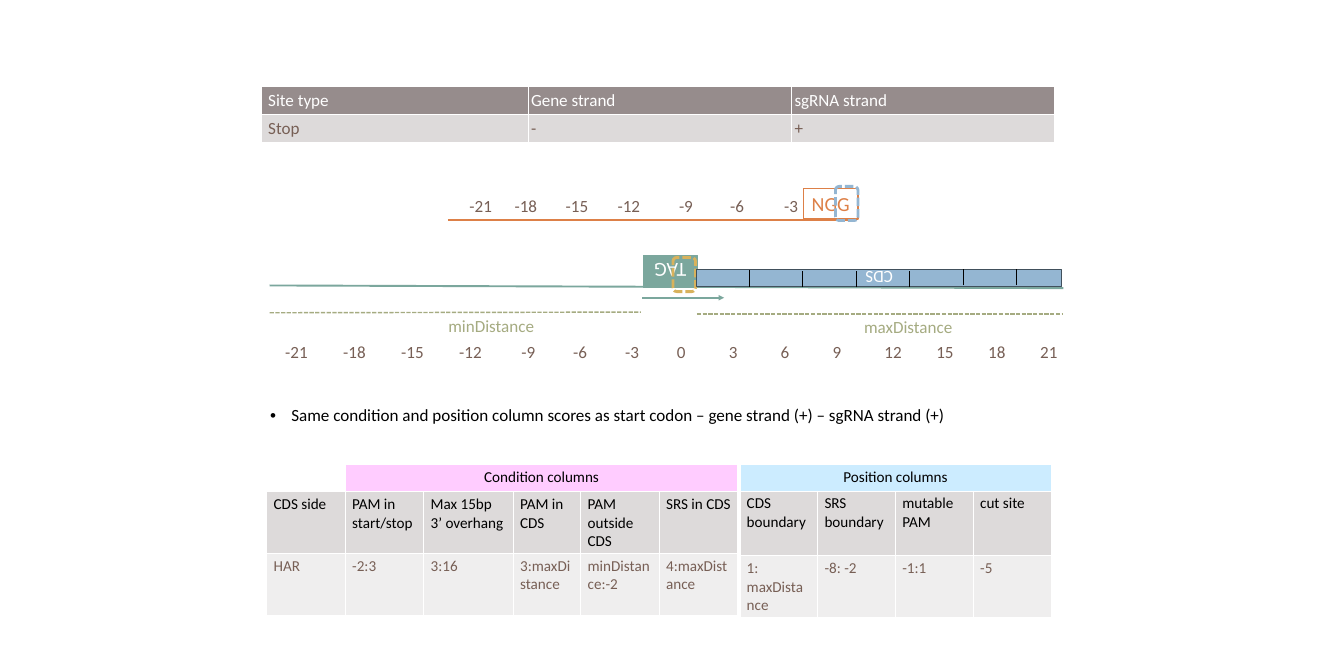
from dataclasses import dataclass

from lxml import etree
from pptx import Presentation
from pptx.dml.color import RGBColor
from pptx.enum.dml import MSO_LINE
from pptx.enum.shapes import MSO_CONNECTOR, MSO_SHAPE
from pptx.enum.text import MSO_ANCHOR, PP_ALIGN
from pptx.oxml.ns import qn
from pptx.util import Emu, Pt

PX = 9144
RECT, ROUND = MSO_SHAPE.RECTANGLE, MSO_SHAPE.ROUNDED_RECTANGLE
LEFT, CENTER = PP_ALIGN.LEFT, PP_ALIGN.CENTER
TOP, MIDDLE = MSO_ANCHOR.TOP, MSO_ANCHOR.MIDDLE
DASH = MSO_LINE.SQUARE_DOT
STRAIGHT = MSO_CONNECTOR.STRAIGHT


@dataclass(frozen=True)
class Theme:
    font: str = "Calibri"
    white: str = "FFFFFF"
    black: str = "000000"
    brown: str = "775F55"
    head: str = "968C8C"
    band: str = "DDDADA"
    pale: str = "EFEEEE"
    pink: str = "FFCCFF"
    sky: str = "CCECFF"
    green: str = "7BA79D"
    olive: str = "A5AB81"
    orange: str = "DD8047"
    gold: str = "D8B25C"
    blue: str = "94B6D2"
    navy: str = "41505C"
    cell: int = 16
    body: int = 18
    codon: int = 21


T = Theme()


@dataclass(frozen=True)
class Box:
    x: int
    y: int
    w: int
    h: int
    line: str
    width: float
    kind: int = RECT
    fill: str = ""
    text: str = ""
    ink: str = T.white
    size: int = T.body
    anchor: int = MIDDLE
    turn: int = 0
    dash: bool = False


@dataclass(frozen=True)
class Line:
    x1: int
    y1: int
    x2: int
    y2: int
    color: str
    width: float
    dash: bool = False
    arrow: bool = False


@dataclass(frozen=True)
class Label:
    x: int
    y: int
    w: int
    text: str
    color: str = T.brown
    bullet: bool = False


@dataclass(frozen=True)
class Row:
    h: int
    cells: tuple
    fill: str
    ink: str
    size: int = T.cell
    span: int = 1


@dataclass(frozen=True)
class Grid:
    x: int
    y: int
    cols: tuple
    rows: tuple


def px(n: int) -> Emu:
    return Emu(n * PX)


def rgb(code: str) -> RGBColor:
    return RGBColor.from_string(code)


def style(para, color: str, size: int, align=LEFT) -> None:
    para.alignment = align
    font = para.font
    font.name, font.size, font.bold = T.font, Pt(size), False
    font.color.rgb = rgb(color)


def stroke(line, color: str, width: float, dash: bool) -> None:
    line.color.rgb = rgb(color)
    line.width = Pt(width)
    if dash:
        line.dash_style = DASH


def draw_box(shapes, b: Box) -> None:
    shape = shapes.add_shape(b.kind, px(b.x), px(b.y), px(b.w), px(b.h))
    shape.shadow.inherit = False
    shape.rotation = b.turn
    if b.fill:
        shape.fill.solid()
        shape.fill.fore_color.rgb = rgb(b.fill)
    else:
        shape.fill.background()
    stroke(shape.line, b.line, b.width, b.dash)
    if b.text:
        frame = shape.text_frame
        frame.vertical_anchor = b.anchor
        frame.text = b.text
        style(frame.paragraphs[0], b.ink, b.size, CENTER)


def draw_line(shapes, s: Line) -> None:
    wire = shapes.add_connector(STRAIGHT, px(s.x1), px(s.y1), px(s.x2), px(s.y2))
    stroke(wire.line, s.color, s.width, s.dash)
    if s.arrow:
        etree.SubElement(wire.line._get_or_add_ln(), qn("a:tailEnd"), type="triangle")
    etree.SubElement(wire._element.spPr, qn("a:effectLst"))


def draw_label(shapes, t: Label) -> None:
    frame = shapes.add_textbox(px(t.x), px(t.y), px(t.w), px(40)).text_frame
    frame.word_wrap = True
    frame.text = t.text
    para = frame.paragraphs[0]
    if t.bullet:
        props = para._p.get_or_add_pPr()
        props.set("marL", str(px(31)))
        props.set("indent", str(px(-31)))
        etree.SubElement(props, qn("a:buFont"), typeface="Arial")
        etree.SubElement(props, qn("a:buChar"), char="•")
    style(para, t.color, T.body)


def draw_grid(shapes, g: Grid) -> None:
    """Draw a table; the last cells of a row merge when its span exceeds one."""
    table = shapes.add_table(len(g.rows), len(g.cols), px(g.x), px(g.y),
                             px(sum(g.cols)), px(sum(r.h for r in g.rows))).table
    for col, w in zip(table.columns, g.cols):
        col.width = px(w)
    for i, row in enumerate(g.rows):
        table.rows[i].height = px(row.h)
        for j, text in enumerate(row.cells):
            cell = table.cell(i, j)
            if text:
                cell.fill.solid()
                cell.fill.fore_color.rgb = rgb(row.fill)
            else:
                cell.fill.background()
            cell.text = text
            style(cell.text_frame.paragraphs[0], row.ink, row.size,
                  CENTER if row.span > 1 else LEFT)
        if row.span > 1:
            start = len(row.cells) - 1
            table.cell(i, start).merge(table.cell(i, start + row.span - 1))


def scale(y: int, marks: dict) -> list:
    return [Label(x, y, 57 if len(m) == 3 else 47, m) for m, x in marks.items()]


def strand(x: int, name: str, value: str) -> Grid:
    return Grid(x, 127, (391,), (Row(41, (name,), T.head, T.white, T.body),
                                 Row(41, (value,), T.band, T.brown, T.body)))


GUIDE = {"-21": 678, "-18": 744, "-15": 819, "-12": 895, "-9": 985, "-6": 1060, "-3": 1139}
GENE = {str(n): 408 + 85 * i for i, n in enumerate(range(-21, -11, 3))}
GENE |= {str(n): 754 + 76 * i for i, n in enumerate(range(-9, 22, 3))}
TICKS = (396, 397, 397, 397, 394, 394)

ITEMS = [
    Box(942, 374, 80, 47, T.green, 1, fill=T.green, text="TAG", size=T.codon, turn=180),
    strand(1154, "sgRNA strand", "+"),
    Line(395, 418, 1558, 422, T.green, 2),
    Line(656, 322, 1246, 322, T.orange, 2),
    Line(941, 436, 1061, 436, T.green, 1.75, arrow=True),
    Box(1177, 276, 80, 45, T.orange, 1.75, text="NGG", ink=T.orange, size=T.codon, anchor=TOP),
    Box(1224, 273, 33, 50, T.blue, 3, ROUND, dash=True),
    Box(986, 377, 33, 50, T.gold, 3, ROUND, dash=True),
    Line(395, 458, 939, 457, T.olive, 1.5, dash=True),
    Label(647, 457, 168, "minDistance", T.olive),
    Line(1021, 460, 1558, 460, T.olive, 1.5, dash=True),
    Label(1256, 458, 168, "maxDistance", T.olive),
    *scale(495, GENE),
    Box(1021, 394, 534, 26, T.navy, 1, fill=T.blue, text="CDS", turn=180),
    *(Line(x, y + 24, x, y, T.black, 0.5)
      for x, y in zip((round(1097 + 78.4 * i) for i in range(6)), TICKS)),
    *scale(281, GUIDE),
    strand(768, "Gene strand", "-"),
    strand(383, "Site type", "Stop"),
    Grid(391, 680, (115, 115, 131, 99, 115, 115), (
        Row(40, ("", "Condition columns"), T.pink, T.black, span=5),
        Row(70, ("CDS side", "PAM in start/stop", "Max 15bp 3’ overhang", "PAM in CDS",
                 "PAM outside CDS", "SRS in CDS"), T.band, T.black),
        Row(91, ("HAR", "-2:3", "3:16", "3:maxDistance", "minDistance:-2",
                 "4:maxDistance"), T.pale, T.brown))),
    Label(386, 588, 1038, "Same condition and position column scores as start codon – "
          "gene strand (+) – sgRNA strand (+)", T.black, bullet=True),
    Grid(1084, 680, (114,) * 4, (
        Row(39, ("Position columns",), T.sky, T.black, span=4),
        Row(95, ("CDS boundary", "SRS boundary", "mutable PAM", "cut site"), T.band, T.black),
        Row(79, ("1: maxDistance", "-8: -2", "-1:1", "-5"), T.pale, T.brown))),
]
DRAW = {Box: draw_box, Line: draw_line, Label: draw_label, Grid: draw_grid}


def main() -> None:
    deck = Presentation()
    deck.slide_width, deck.slide_height = px(1969), px(984)
    shapes = deck.slides.add_slide(deck.slide_layouts[6]).shapes
    for item in ITEMS:
        DRAW[type(item)](shapes, item)
    deck.save("out.pptx")


if __name__ == "__main__":
    main()
